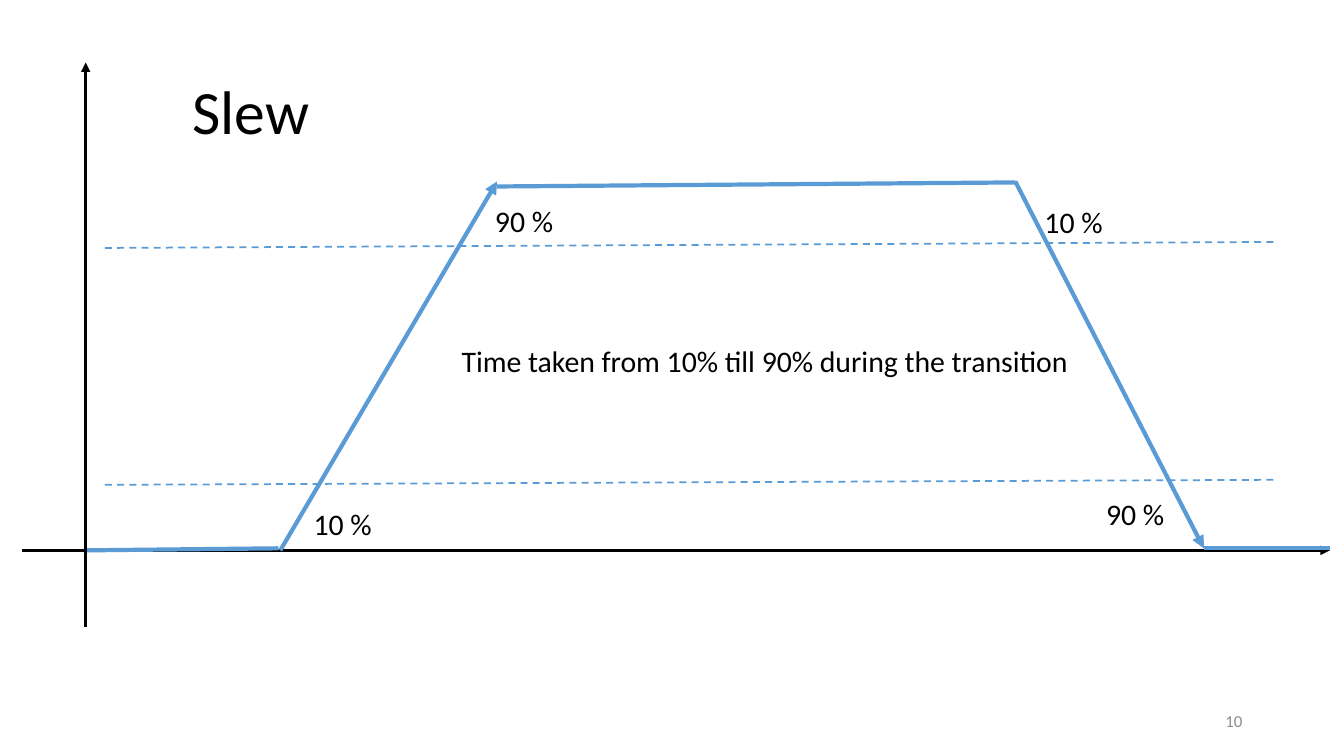
from lxml.etree import SubElement
from pptx import Presentation
from pptx.dml.color import RGBColor
from pptx.enum.dml import MSO_LINE
from pptx.enum.shapes import MSO_CONNECTOR
from pptx.enum.text import MSO_ANCHOR, PP_ALIGN
from pptx.oxml.ns import qn
from pptx.util import Inches, Pt

BLACK, BLUE, GRAY = "000000", "5B9BD5", "8C8C8C"


def rgb(color):
    return RGBColor.from_string(color)


def format_text(tf, text, size, color=BLACK, align=PP_ALIGN.LEFT):
    tf.text = text
    tf.word_wrap = True
    p = tf.paragraphs[0]
    p.alignment = align
    p.font.name = "Calibri"
    p.font.size = Pt(size)
    p.font.color.rgb = rgb(color)
    return p


def add_title(s, text):
    title = s.shapes.title
    title.left, title.top = Inches(1.81), Inches(0.55)
    title.width, title.height = Inches(11.52), Inches(1.17)
    title.text_frame.vertical_anchor = MSO_ANCHOR.MIDDLE
    format_text(title.text_frame, text, 44).line_spacing = 0.9


def add_line(s, start, end, color, width, arrow=False, dashed=False):
    points = [Inches(v) for v in (*start, *end)]
    line = s.shapes.add_connector(MSO_CONNECTOR.STRAIGHT, *points)
    line.line.color.rgb = rgb(color)
    line.line.width = Pt(width)
    if dashed:
        line.line.dash_style = MSO_LINE.DASH
    if arrow:
        SubElement(line.line._get_or_add_ln(), qn("a:tailEnd"), type="triangle")
    SubElement(line._element.spPr, qn("a:effectLst"))


def add_label(s, text, left, top, width=1.94, align=PP_ALIGN.LEFT):
    box = s.shapes.add_textbox(Inches(left), Inches(top), Inches(width), Inches(0.36))
    tf = box.text_frame
    tf.margin_left = tf.margin_right = tf.margin_top = tf.margin_bottom = 0
    format_text(tf, text, 21.3, align=align)


def add_page_number(s, text):
    box = s.shapes.add_textbox(Inches(9.42), Inches(6.95), Inches(3), Inches(0.4))
    box.text_frame.vertical_anchor = MSO_ANCHOR.MIDDLE
    format_text(box.text_frame, text, 12, GRAY, PP_ALIGN.RIGHT)


def main():
    prs = Presentation()
    prs.slide_width, prs.slide_height = Inches(13.33), Inches(7.5)
    s = prs.slides.add_slide(prs.slide_layouts[5])

    add_line(s, (0.22, 5.46), (13.19, 5.46), BLACK, 2.25, arrow=True)
    add_title(s, "Slew")

    waveform = [
        ((0.85, 5.46), (2.76, 5.44), False),
        ((2.78, 5.46), (4.93, 1.8), True),
        ((4.93, 1.85), (10.07, 1.81), False),
        ((10.07, 1.8), (11.94, 5.44), True),
        ((11.94, 5.44), (13.19, 5.44), False),
    ]
    for start, end, arrow in waveform:
        add_line(s, start, end, BLUE, 3, arrow=arrow)

    for left_y, right_y in [(4.81, 4.76), (2.46, 2.4)]:
        add_line(s, (1.04, left_y), (12.67, right_y), BLUE, 1.25, dashed=True)

    add_label(s, "10 %", 3.11, 5.02)
    add_label(s, "10 %", 10.36, 2.02)
    add_label(s, "90 %", 10.97, 4.92)
    add_label(s, "90 %", 4.91, 2.01)
    add_line(s, (0.85, 6.22), (0.85, 0.62), BLACK, 2.25, arrow=True)
    add_label(s, "Time taken from 10% till 90% during the transition",
              4.31, 3.4, 6.55, PP_ALIGN.CENTER)
    add_page_number(s, "10")

    prs.save("out.pptx")


if __name__ == "__main__":
    main()
